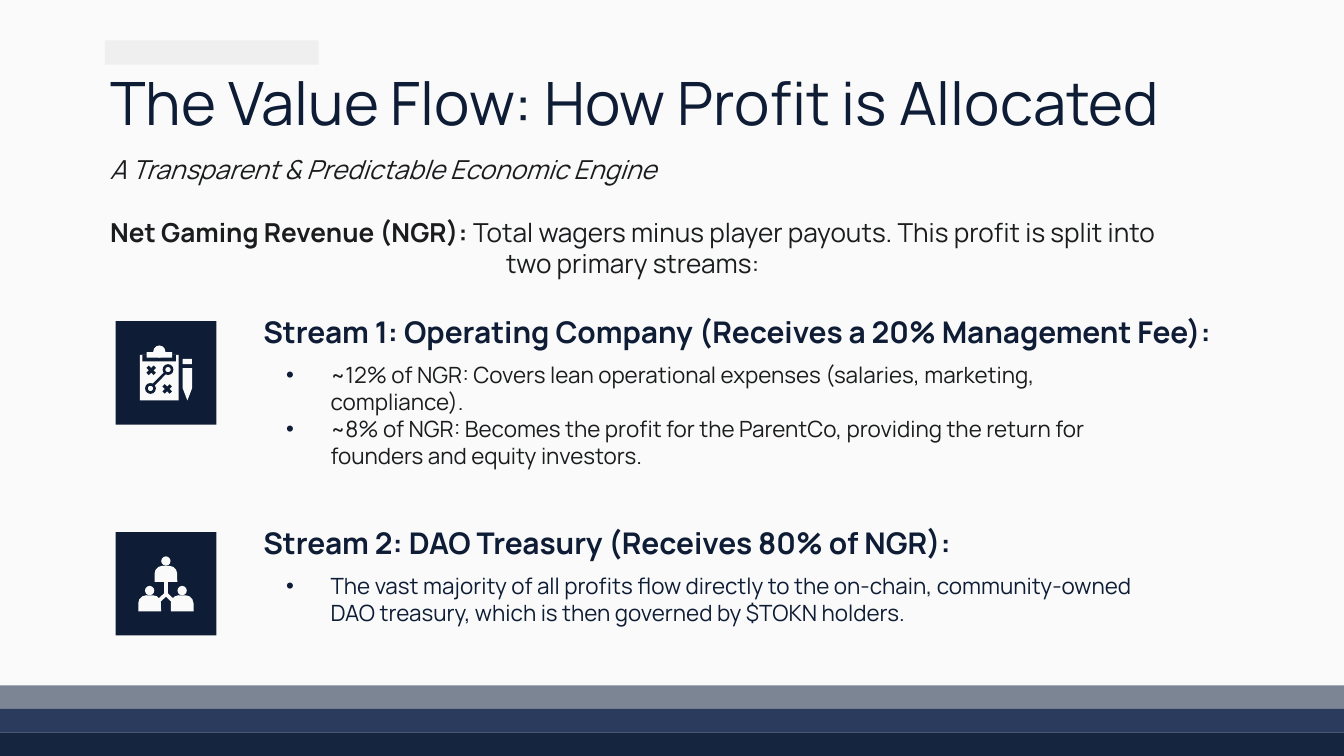
from lxml.etree import SubElement
from pptx import Presentation
from pptx.dml.color import RGBColor
from pptx.enum.shapes import MSO_CONNECTOR, MSO_SHAPE
from pptx.enum.text import MSO_ANCHOR, MSO_AUTO_SIZE, PP_ALIGN
from pptx.oxml.ns import qn
from pptx.util import Pt

NAVY = RGBColor(0x0E, 0x1D, 0x35)
INK = RGBColor(0x1A, 0x1C, 0x1E)
PAPER = RGBColor(0xFA, 0xFA, 0xFA)
PALE = RGBColor(0xEF, 0xEF, 0xEF)
BAR_COLORS = [RGBColor(0x7C, 0x85, 0x94), RGBColor(0x2B, 0x3B, 0x5D),
              RGBColor(0x15, 0x25, 0x3F)]
FONT = "Manrope"

# Content
TITLE = "The Value Flow: How Profit is Allocated"
TAGLINE = "A Transparent & Predictable Economic Engine"
REVENUE = ["Net Gaming Revenue (NGR):",
           " Total wagers minus player payouts. This profit is split into two primary streams:"]
STREAMS = [
    {"heading": "Stream 1: Operating Company (Receives a 20% Management Fee):",
     "points": ["~12% of NGR: Covers lean operational expenses (salaries, marketing, compliance).",
                "~8% of NGR: Becomes the profit for the ParentCo, providing the return for "
                "founders and equity investors."],
     "color": INK, "heading_width": 549.4},
    {"heading": "Stream 2: DAO Treasury (Receives 80% of NGR):",
     "points": ["The vast majority of all profits flow directly to the on-chain, community-owned "
                "DAO treasury, which is then governed by $TOKN holders."],
     "color": NAVY, "heading_width": 493.2},
]

# Layout, in points
WIDTH, HEIGHT = 720, 405
BAR_HEIGHT = 12.6
STREAM_TOP, STREAM_PITCH = 166.3, 113
TEXT_LEFT, LIST_WIDTH = 133.9, 493.2
TILE_LEFT, TILE_OFFSET, TILE_WIDTH, TILE_HEIGHT = 61.9, 5.8, 54, 55.4

prs = Presentation()
prs.slide_width, prs.slide_height = Pt(WIDTH), Pt(HEIGHT)
slide = prs.slides.add_slide(prs.slide_layouts.get_by_name("Comparison"))
slide.background.fill.solid()
slide.background.fill.fore_color.rgb = PAPER
shapes = slide.shapes


def paint(shape, color):
    shape.shadow.inherit = False
    shape.fill.solid()
    shape.fill.fore_color.rgb = color
    shape.line.fill.background()


def add_block(kind, x, y, w, h, color):
    block = shapes.add_shape(kind, Pt(x), Pt(y), Pt(w), Pt(h))
    paint(block, color)
    return block


def add_link(x1, y1, x2, y2, color, weight):
    link = shapes.add_connector(MSO_CONNECTOR.STRAIGHT, Pt(x1), Pt(y1), Pt(x2), Pt(y2))
    link.line.color.rgb = color
    link.line.width = Pt(weight)
    SubElement(link._element.spPr, qn("a:effectLst"))


def place(holder, x, y, w, h, anchor=MSO_ANCHOR.TOP):
    holder.left, holder.top, holder.width, holder.height = Pt(x), Pt(y), Pt(w), Pt(h)
    frame = holder.text_frame
    frame.word_wrap = True
    frame.auto_size = MSO_AUTO_SIZE.NONE
    frame.vertical_anchor = anchor
    frame.margin_left = frame.margin_right = Pt(7.2)
    frame.margin_top = frame.margin_bottom = Pt(7.2)
    return frame


def style(frame, size, color, bold=False, italic=False, align=PP_ALIGN.LEFT):
    for paragraph in frame.paragraphs:
        paragraph.alignment = align
        paragraph.space_before = Pt(0)
        for run in paragraph.runs:
            font = run.font
            font.name, font.size, font.bold, font.italic = FONT, Pt(size), bold, italic
            font.color.rgb = color


def add_bullet(paragraph):
    props = paragraph._p.get_or_add_pPr()
    props.set("marL", str(Pt(36)))
    props.set("indent", str(Pt(-23.8)))
    color = SubElement(SubElement(props, qn("a:buClr")), qn("a:srgbClr"))
    color.set("val", str(NAVY))
    SubElement(props, qn("a:buChar")).set("char", "•")


def add_note(x, y, w, h):
    frame = shapes.add_textbox(Pt(x), Pt(y), Pt(w), Pt(h)).text_frame
    frame.word_wrap = True
    return frame


def draw_plan(x, y):
    """Clipboard with a game plan, and a pencil."""
    for kind, dx, dy, w, h, color in [
            (MSO_SHAPE.RECTANGLE, 13, 18, 20.9, 24.5, PAPER),
            (MSO_SHAPE.RECTANGLE, 14.4, 18, 18, 3.6, NAVY),
            (MSO_SHAPE.RECTANGLE, 16.6, 16.6, 13.7, 2.9, PAPER),
            (MSO_SHAPE.OVAL, 20.2, 13, 6.5, 6.5, PAPER),
            (MSO_SHAPE.MATH_MULTIPLY, 15.4, 22.6, 7.4, 7.4, NAVY),
            (MSO_SHAPE.MATH_MULTIPLY, 24, 32.6, 7.4, 7.4, NAVY),
            (MSO_SHAPE.DONUT, 25.2, 23, 5.8, 5.8, NAVY),
            (MSO_SHAPE.DONUT, 15.8, 33.1, 5.8, 5.8, NAVY),
            (MSO_SHAPE.RECTANGLE, 36, 20.2, 5, 2.9, PAPER)]:
        add_block(kind, x + dx, y + dy, w, h, color)
    add_link(x + 20.2, y + 34.2, x + 26.6, y + 27.7, NAVY, 1.4)
    outline = [(36, 25.2), (41, 25.2), (41, 36), (38.5, 42.5), (36, 36)]
    corners = [(Pt(x + dx), Pt(y + dy)) for dx, dy in outline]
    pencil = shapes.build_freeform(*corners[0])
    pencil.add_line_segments(corners[1:], close=True)
    paint(pencil.convert_to_shape(), PAPER)


def draw_community(x, y):
    """Three linked people."""
    for dx, dy in [(27, 13), (18.3, 28.8), (35.7, 28.8)]:
        add_block(MSO_SHAPE.OVAL, x + dx - 2.5, y + dy, 5, 5, PAPER)
        body = add_block(MSO_SHAPE.ROUND_2_SAME_RECTANGLE,
                         x + dx - 6.1, y + dy + 5, 12.2, 8.6, PAPER)
        body.adjustments[0] = 0.5
    for end_x, end_y in [(27, 26), (23, 37), (31, 37)]:
        add_link(x + 27, y + 33.2, x + end_x, y + end_y, PAPER, 2)


# Footer bars and accent
for row, color in enumerate(BAR_COLORS):
    top = HEIGHT - (len(BAR_COLORS) - row) * BAR_HEIGHT
    add_block(MSO_SHAPE.RECTANGLE, 0, top, WIDTH, BAR_HEIGHT, color)
add_block(MSO_SHAPE.RECTANGLE, 56.2, 21.6, 114.5, 13, PALE)

# Title, tagline and revenue definition
title = place(shapes.title, 51.8, 28.1, 642.2, 45.4)
title.text = TITLE
style(title, 32, NAVY)

tagline = add_note(51.8, 78.5, 406.8, 24.5)
tagline.text = TAGLINE
style(tagline, 14, INK, italic=True)

revenue = add_note(51.1, 112.3, 576, 41)
for part in REVENUE:
    revenue.paragraphs[0].add_run().text = part
style(revenue, 14, INK, align=PP_ALIGN.CENTER)
revenue.paragraphs[0].runs[0].font.bold = True

# Streams: heading, bullet list and icon tile
holders = {holder.placeholder_format.idx: holder for holder in slide.placeholders}
for row, (stream, draw_icon) in enumerate(zip(STREAMS, [draw_plan, draw_community])):
    top = STREAM_TOP + row * STREAM_PITCH
    heading = place(holders[2 * row + 1], TEXT_LEFT, top, stream["heading_width"], 28.1,
                    MSO_ANCHOR.BOTTOM)
    heading.text = stream["heading"]
    style(heading, 16, NAVY, bold=True)

    points = place(holders[2 * row + 2], TEXT_LEFT, top + 20.2, LIST_WIDTH, 55.4)
    points.text = "\n".join(stream["points"])
    style(points, 12, stream["color"])
    for paragraph in points.paragraphs:
        add_bullet(paragraph)

    tile_top = top + TILE_OFFSET
    add_block(MSO_SHAPE.RECTANGLE, TILE_LEFT, tile_top, TILE_WIDTH, TILE_HEIGHT, NAVY)
    draw_icon(TILE_LEFT, tile_top)

prs.save("out.pptx")
